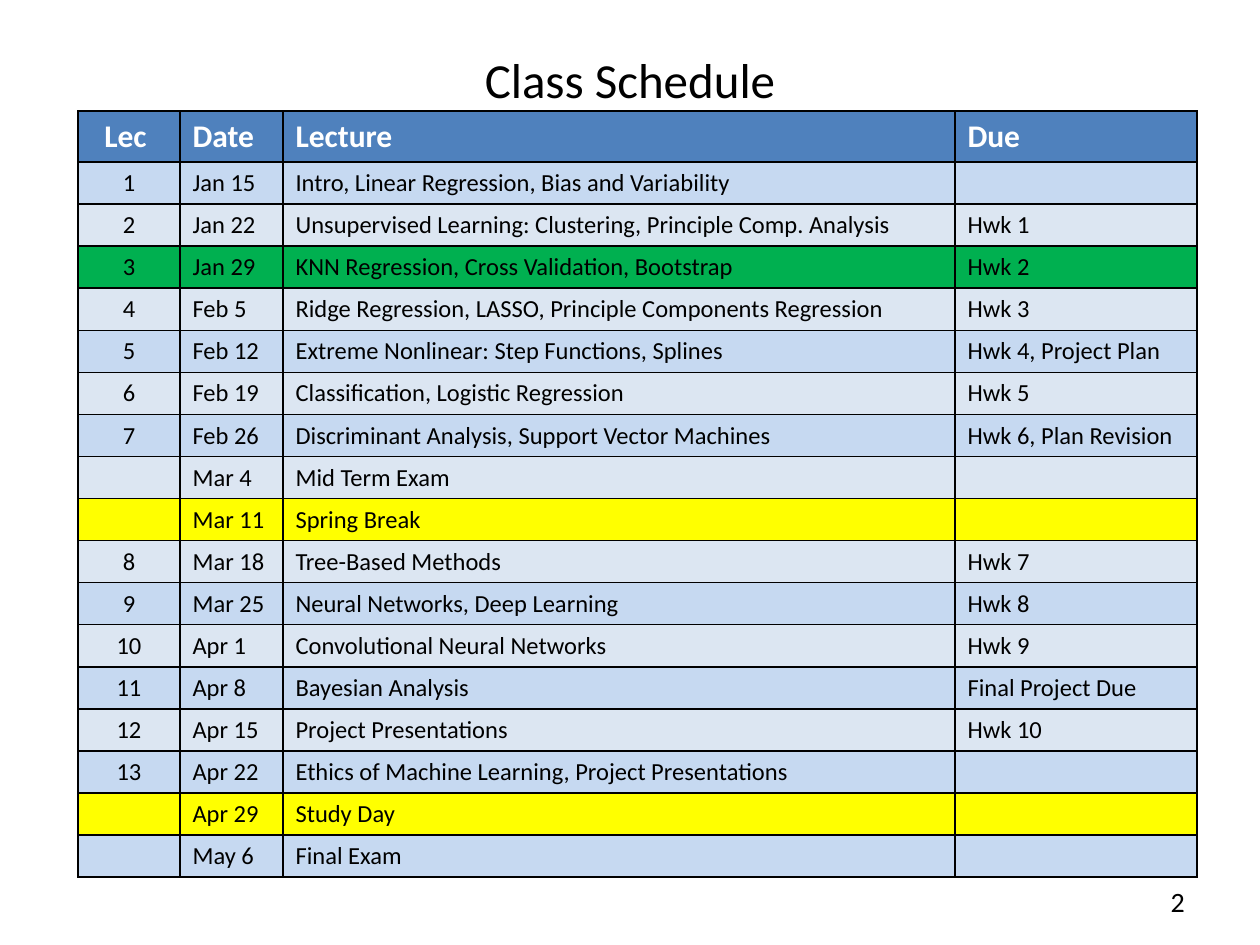
from lxml.etree import SubElement
from pptx import Presentation
from pptx.dml.color import RGBColor
from pptx.enum.text import MSO_ANCHOR as Anchor, PP_ALIGN as Align
from pptx.oxml.ns import qn
from pptx.util import Pt

PX = 914400 // 126  # EMU per px

BLACK = RGBColor(0x00, 0x00, 0x00)
WHITE = RGBColor(0xFF, 0xFF, 0xFF)
HEADER_BLUE = RGBColor(0x4F, 0x81, 0xBD)
BAND_DARK = RGBColor(0xC6, 0xD9, 0xF1)
BAND_LIGHT = RGBColor(0xDC, 0xE6, 0xF2)
CURRENT_GREEN = RGBColor(0x00, 0xB0, 0x50)
BREAK_YELLOW = RGBColor(0xFF, 0xFF, 0x00)

HEADER = ("Lec ", "Date", "Lecture", "Due")
SCHEDULE = [
    ("1", "Jan 15", "Intro, Linear Regression, Bias and Variability", ""),
    ("2", "Jan 22", "Unsupervised Learning: Clustering, Principle Comp. Analysis", "Hwk 1"),
    ("3", "Jan 29", "KNN Regression, Cross Validation, Bootstrap", "Hwk 2"),
    ("4", "Feb 5", "Ridge Regression, LASSO, Principle Components Regression", "Hwk 3"),
    ("5", "Feb 12", "Extreme Nonlinear: Step Functions, Splines", "Hwk 4, Project Plan"),
    ("6", "Feb 19", "Classification, Logistic Regression", "Hwk 5"),
    ("7", "Feb 26", "Discriminant Analysis, Support Vector Machines", "Hwk 6, Plan Revision"),
    ("", "Mar 4", "Mid Term Exam", ""),
    ("", "Mar 11", "Spring Break", ""),
    ("8", "Mar 18", "Tree-Based Methods", "Hwk 7"),
    ("9", "Mar 25", "Neural Networks, Deep Learning", "Hwk 8"),
    ("10", "Apr 1", "Convolutional Neural Networks", "Hwk 9"),
    ("11", "Apr 8", "Bayesian Analysis", "Final Project Due"),
    ("12", "Apr 15", "Project Presentations", "Hwk 10"),
    ("13", "Apr 22", "Ethics of Machine Learning, Project Presentations", ""),
    ("", "Apr 29", "Study Day", ""),
    ("", "May 6", "Final Exam", ""),
]
HIGHLIGHTS = {
    "Jan 29": CURRENT_GREEN,
    "Mar 11": BREAK_YELLOW,
    "Apr 29": BREAK_YELLOW,
}


class SlideBuilder:
    font_name = "Calibri"
    header_size, body_size = 18, 14

    def __init__(self, slide):
        self.slide = slide

    def set_text(self, paragraph, text, size, color=BLACK, align=Align.LEFT, bold=False):
        paragraph.text = text
        paragraph.alignment = align
        font = paragraph.font
        font.name, font.size, font.bold = self.font_name, Pt(size), bold
        font.color.rgb = color
        if not text:  # an empty cell takes its line height from here
            SubElement(paragraph._p, qn("a:endParaRPr"), sz=str(size * 100))

    def text(self, left, top, width, height, text, size, align):
        box = self.slide.shapes.add_textbox(left * PX, top * PX, width * PX, height * PX)
        frame = box.text_frame
        frame.word_wrap = True
        frame.vertical_anchor = Anchor.MIDDLE
        self.set_text(frame.paragraphs[0], text, size, align=align)

    def border(self, cell):
        properties = cell._tc.get_or_add_tcPr()
        for position, side in enumerate(("lnL", "lnR", "lnT", "lnB")):
            line = SubElement(properties, qn(f"a:{side}"), w=str(int(Pt(1))))
            fill = SubElement(line, qn("a:solidFill"))
            SubElement(fill, qn("a:srgbClr"), val=str(BLACK))
            properties.insert(position, line)  # borders come before the fill

    def table(self, left, top, widths, header_height, row_height, header, rows):
        heights = [header_height] + [row_height] * len(rows)
        table = self.slide.shapes.add_table(
            len(heights), len(widths), left * PX, top * PX,
            sum(widths) * PX, sum(heights) * PX).table
        table.first_row = table.horz_banding = False
        for column, width in zip(table.columns, widths):
            column.width = width * PX
        for row, height in zip(table.rows, heights):
            row.height = height * PX

        for index, values in enumerate([header, *rows]):
            is_header = index == 0
            band = BAND_DARK if index % 2 else BAND_LIGHT
            fill = HEADER_BLUE if is_header else HIGHLIGHTS.get(values[1], band)
            for column, value in enumerate(values):
                cell = table.cell(index, column)
                cell.fill.solid()
                cell.fill.fore_color.rgb = fill
                self.border(cell)
                self.set_text(
                    cell.text_frame.paragraphs[0], value,
                    self.header_size if is_header else self.body_size,
                    WHITE if is_header else BLACK,
                    Align.LEFT if column else Align.CENTER, is_header)


def main():
    presentation = Presentation()
    presentation.slide_width, presentation.slide_height = 1260 * PX, 945 * PX
    builder = SlideBuilder(presentation.slides.add_slide(presentation.slide_layouts[6]))

    # Title
    builder.text(63, 0, 1134, 158, "Class Schedule", 28, Align.CENTER)
    # Slide number
    builder.text(903, 876, 294, 50, "2", 16, Align.RIGHT)
    # Schedule
    builder.table(78, 111, (102, 103, 672, 242), 51, 42, HEADER, SCHEDULE)

    presentation.save("out.pptx")


if __name__ == "__main__":
    main()
